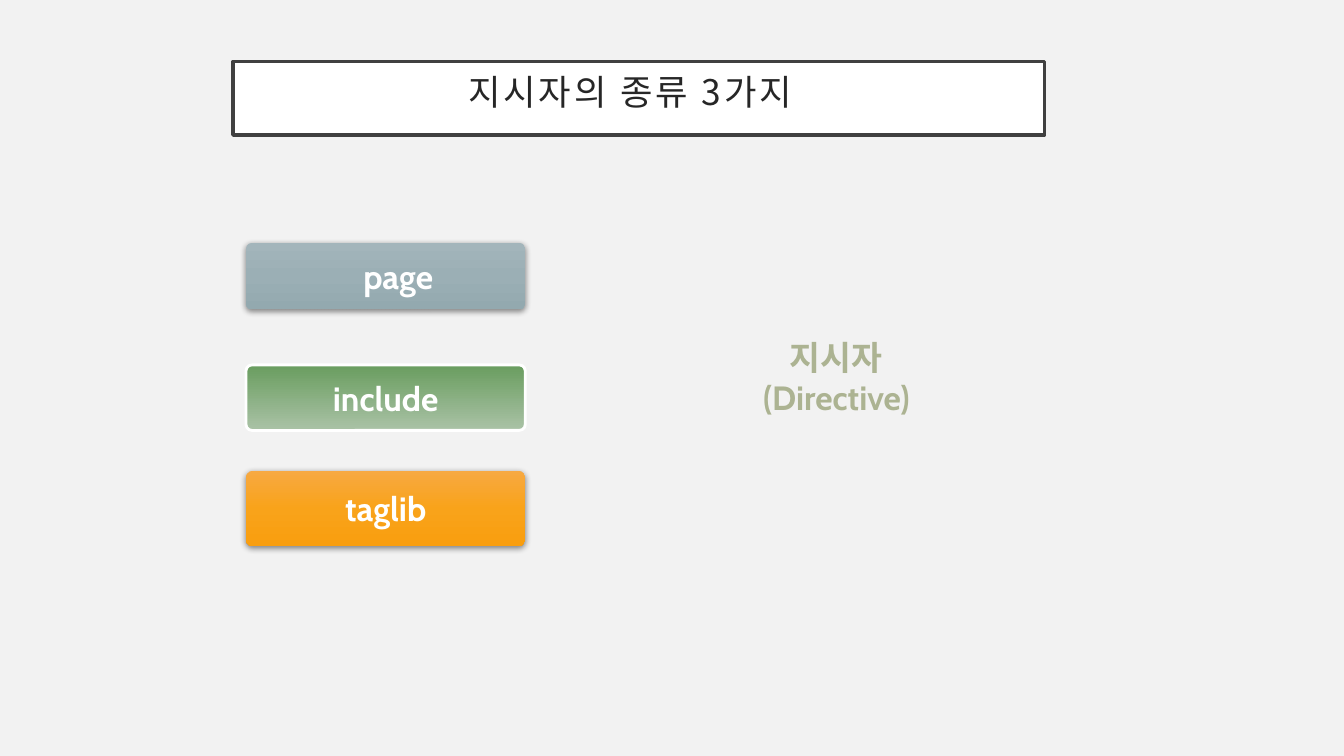
import pptx
import pptx.util
import pptx.dml.color
import pptx.enum.shapes
import pptx.enum.text
import pptx.oxml
import pptx.oxml.ns

Inches = pptx.util.Inches
Pt = pptx.util.Pt
RGB = pptx.dml.color.RGBColor
Text = pptx.enum.text
qn = pptx.oxml.ns.qn
NS = pptx.oxml.ns.nsdecls("a")

PAPER = RGB(0xF2, 0xF2, 0xF2)
WHITE = RGB(0xFF, 0xFF, 0xFF)
FRAME = RGB(0x40, 0x40, 0x40)
INK = RGB(0x26, 0x26, 0x26)
SAGE = RGB(0xAC, 0xB3, 0x92)
STEEL = RGB(0x9B, 0xAF, 0xB5)
STEELS = {0: RGB(0xA3, 0xB5, 0xBB), 50: STEEL, 100: RGB(0x93, 0xA9, 0xAF)}
GREENS = {0: RGB(0x69, 0x9D, 0x5F), 100: RGB(0xAA, 0xC2, 0xA6)}
GOLDS = {0: RGB(0xF7, 0xA9, 0x42), 50: RGB(0xF9, 0xA3, 0x1A), 100: RGB(0xF9, 0x9E, 0x0F)}

LATIN = "Cabin"
HANGUL = "Noto Sans CJK KR"
LEFT, WIDE = 2.44, 2.77
ROUND = 0.091


def apply(item, form):
    for name, value in form.items():
        setattr(item, name, value)


def place(shape, left, top, width, height):
    apply(shape, {"left": Inches(left), "top": Inches(top),
                  "width": Inches(width), "height": Inches(height)})


def node(xml):
    return pptx.oxml.parse_xml(xml)


def write(shape, lines, color, size=24, bold=True, latin=LATIN, wrap=False):
    frame = shape.text_frame
    apply(frame, {"text": "\n".join(lines), "word_wrap": wrap,
                  "auto_size": Text.MSO_AUTO_SIZE.NONE,
                  "vertical_anchor": Text.MSO_ANCHOR.MIDDLE})
    for para in frame.paragraphs:
        para.alignment = Text.PP_ALIGN.CENTER
        for run in para.runs:
            apply(run.font, {"size": Pt(size), "bold": bold, "name": latin})
            run.font.color.rgb = color
            run.font._element.find(qn("a:latin")).addnext(
                node(f'<a:ea {NS} typeface="{HANGUL}"/>'))


def edge(shape, color, width):
    shape.line.color.rgb = color
    shape.line.width = Pt(width)


def blend(shape, tones):
    shape.fill.gradient()
    shape.fill.gradient_angle = 270
    stops = shape._element.spPr.find(qn("a:gradFill")).find(qn("a:gsLst"))
    for stop in list(stops):
        stops.remove(stop)
    for spot, tone in tones.items():
        stops.append(node(f'<a:gs {NS} pos="{spot * 1000}"><a:srgbClr val="{tone}"/></a:gs>'))


def shade(shape):
    props = shape._element.spPr
    for old in props.findall(qn("a:effectLst")):
        props.remove(old)
    props.append(node(
        f'<a:effectLst {NS}><a:outerShdw blurRad="{Pt(4.4)}" dist="{Pt(1.2)}" '
        'dir="5400000" rotWithShape="0"><a:srgbClr val="000000">'
        '<a:alpha val="45000"/></a:srgbClr></a:outerShdw></a:effectLst>'))


def panel(slide, *area):
    kind = pptx.enum.shapes.MSO_SHAPE.ROUNDED_RECTANGLE
    shape = slide.shapes.add_shape(kind, *map(Inches, area))
    shape.adjustments[0] = ROUND
    shape.shadow.inherit = False
    shape.line.fill.background()
    return shape


def head(slide):
    title = slide.shapes.title
    place(title, 2.31, 0.61, 8.05, 0.73)
    title.fill.solid()
    title.fill.fore_color.rgb = WHITE
    edge(title, FRAME, 2.5)
    write(title, ["지시자의 종류 3가지"], INK, 25.2, False, HANGUL, True)
    apply(title.text_frame, {"margin_left": Inches(0.2), "margin_right": Inches(0.37),
                             "margin_top": Inches(0.05), "margin_bottom": Inches(0.14)})
    para = title.text_frame.paragraphs[0]
    para.line_spacing = 0.9
    para.runs[0].font._element.set("spc", "200")


def body(slide):
    shape = slide.placeholders[1]
    place(shape, LEFT, 2.41, WIDE, 0.66)
    shape._element.spPr.find(qn("a:xfrm")).addnext(node(
        f'<a:prstGeom {NS} prst="roundRect"><a:avLst>'
        f'<a:gd name="adj" fmla="val {round(ROUND * 100000)}"/></a:avLst></a:prstGeom>'))
    shape.line.fill.background()
    blend(shape, STEELS)
    shade(shape)
    write(shape, ["page"], WHITE)
    para = shape.text_frame.paragraphs[0]
    para.space_before = Pt(10)
    props = para._p.get_or_add_pPr()
    props.set("marL", str(Inches(0.25)))
    props.set("indent", str(Inches(-0.25)))
    props.append(node(f'<a:buClr {NS}><a:srgbClr val="{STEEL}"/></a:buClr>'))
    props.append(node(f'<a:buChar {NS} char="•"/>'))


def main():
    deck = pptx.Presentation()
    apply(deck, {"slide_width": Inches(13.33), "slide_height": Inches(7.5)})
    slide = deck.slides.add_slide(deck.slide_layouts[1])
    slide.background.fill.solid()
    slide.background.fill.fore_color.rgb = PAPER
    head(slide)
    body(slide)

    green = panel(slide, LEFT, 3.62, WIDE, 0.65)
    blend(green, GREENS)
    edge(green, WHITE, 2)
    write(green, ["include"], WHITE)

    gold = panel(slide, LEFT, 4.67, WIDE, 0.75)
    blend(gold, GOLDS)
    shade(gold)
    write(gold, ["taglib"], WHITE)

    label = panel(slide, 6.92, 3.03, 2.75, 1.42)
    label.fill.background()
    write(label, ["지시자", "(Directive)"], SAGE, wrap=True)
    deck.save("out.pptx")


if __name__ == "__main__":
    main()
